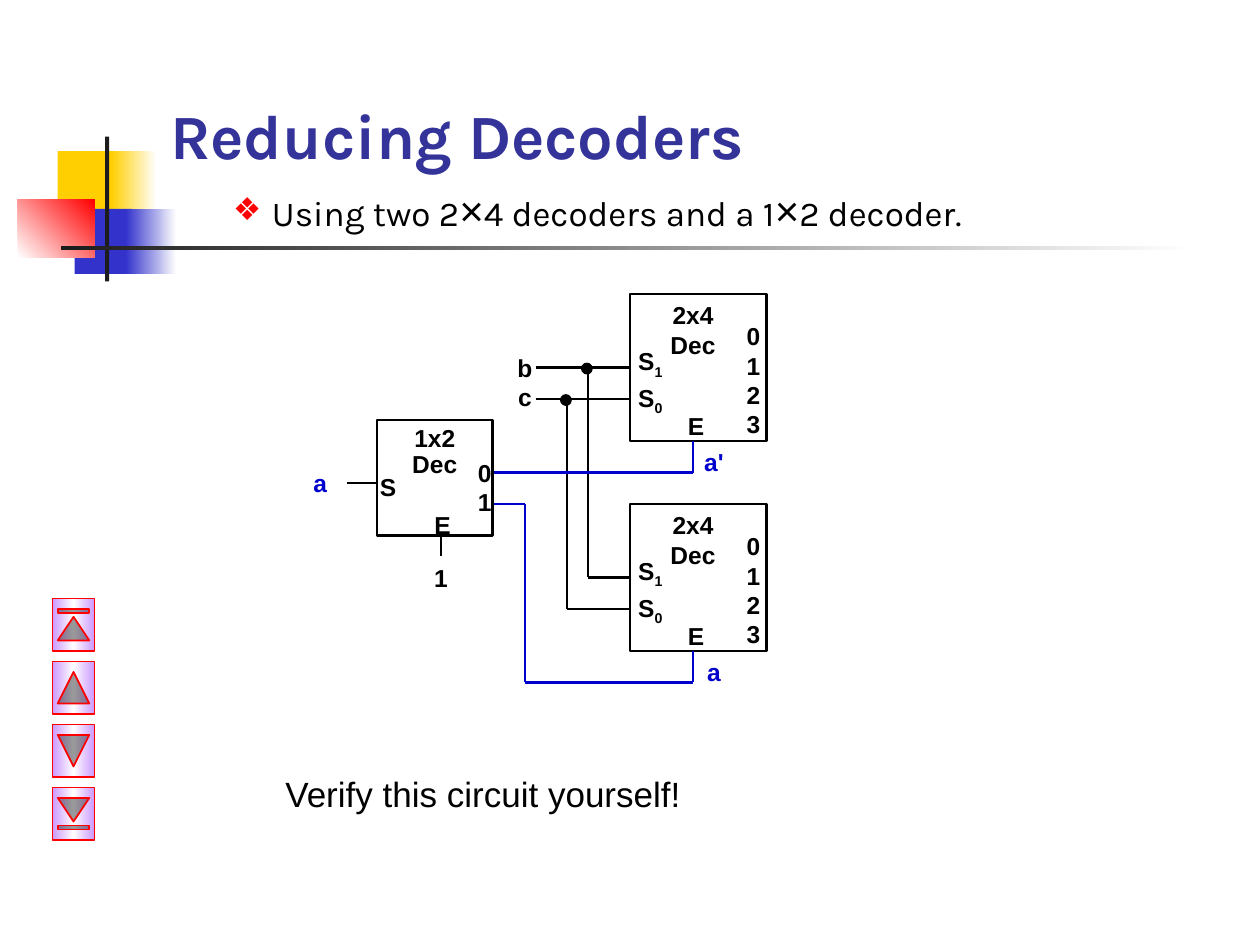
"""Build the slide on reducing decoders, with its circuit and side buttons."""
from dataclasses import dataclass
from itertools import pairwise

from lxml import etree
from pptx import Presentation
from pptx.dml.color import RGBColor
from pptx.enum.shapes import MSO_CONNECTOR, MSO_SHAPE
from pptx.enum.text import MSO_ANCHOR, MSO_AUTO_SIZE, PP_ALIGN
from pptx.oxml.ns import qn
from pptx.util import Pt

RECT, DOT = MSO_SHAPE.RECTANGLE, MSO_SHAPE.OVAL
FIRST, LAST = MSO_SHAPE.ACTION_BUTTON_BEGINNING, MSO_SHAPE.ACTION_BUTTON_END
PRIOR, NEXT = MSO_SHAPE.ACTION_BUTTON_BACK_OR_PREVIOUS, MSO_SHAPE.ACTION_BUTTON_FORWARD_OR_NEXT
LEFT, MID, RIGHT = PP_ALIGN.LEFT, PP_ALIGN.CENTER, PP_ALIGN.RIGHT
TOP, LOW = MSO_ANCHOR.TOP, MSO_ANCHOR.BOTTOM
GROW, FIXED = MSO_AUTO_SIZE.SHAPE_TO_FIT_TEXT, MSO_AUTO_SIZE.NONE
STRAIGHT = MSO_CONNECTOR.STRAIGHT
SCALE = 7620


def px(*sizes):
    return [size * SCALE for size in sizes]


def add(node, tag, **attrs):
    return etree.SubElement(node, qn(tag), attrs)


@dataclass(frozen=True)
class Theme:
    ink: str = "000000"
    blue: str = "0000CC"
    title: str = "333399"
    gold: str = "FFCF01"
    navy: str = "3333CC"
    red: str = "FF0000"
    dark: str = "1C1C1C"
    lilac: str = "CC99FF"
    white: str = "FFFFFF"
    head: str = "Karla"
    font: str = "Arial"
    big: int = 36
    sign: int = 24
    main: int = 20
    small: int = 14


class Deck:
    def __init__(self, theme):
        self.look = theme
        self.show = Presentation()
        self.show.slide_width, self.show.slide_height = px(1200, 900)
        self.page = self.show.slides.add_slide(self.show.slide_layouts[1])

    def run(self, para, text, size, color, font=None, bold=False):
        run = para.add_run()
        run.text = text
        run.font.size, run.font.bold = Pt(size), bold
        run.font.name = font or self.look.font
        run.font.color.rgb = RGBColor.from_string(color)
        return run

    def holder(self, index, box, anchor):
        item = self.page.placeholders[index]
        item.left, item.top, item.width, item.height = px(*box)
        self.page.shapes.element.append(item.element)
        frame = item.text_frame
        frame.auto_size, frame.vertical_anchor = FIXED, anchor
        para = frame.paragraphs[0]
        para.alignment, para.space_before = LEFT, Pt(0)
        return para

    def title(self, box, text):
        para = self.holder(0, box, LOW)
        self.run(para, text, self.look.big, self.look.title, self.look.head, True)

    def bullet(self, box, text):
        look = self.look
        para = self.holder(1, box, TOP)
        para.level = 1
        props = para._p.get_or_add_pPr()
        margin, indent = px(97, -37)
        props.set("marL", str(margin))
        props.set("indent", str(indent))
        add(add(props, "a:buClr"), "a:srgbClr", val=look.red)
        add(props, "a:buSzPct", val="90000")
        add(props, "a:buFont", typeface=look.font)
        add(props, "a:buChar", char="❖")
        for place, part in enumerate(text.split("×")):
            if place:
                self.run(para, "×", look.sign, look.ink)
            self.run(para, part, look.main, look.ink, look.head)

    def shape(self, kind, box, fill=None, line=None, width=1.5):
        item = self.page.shapes.add_shape(kind, *px(*box))
        item.shadow.inherit = False
        if fill:
            item.fill.solid()
            item.fill.fore_color.rgb = RGBColor.from_string(fill)
        else:
            item.fill.background()
        if line:
            item.line.color.rgb = RGBColor.from_string(line)
            item.line.width = Pt(width)
        else:
            item.line.fill.background()
        return item

    def fade(self, item, colors, angle=0):
        item.fill.gradient()
        item.fill.gradient_angle = angle
        stops = item.element.spPr.find(qn("a:gradFill")).find(qn("a:gsLst"))
        for stop in list(stops):
            stops.remove(stop)
        for place, color in enumerate(colors):
            stop = add(stops, "a:gs", pos=str(place * 100000 // (len(colors) - 1)))
            add(stop, "a:srgbClr", val=color)

    def label(self, box, lines, align=MID, color=None, size=None, bold=True, gap=0, pitch=1.0):
        frame = self.page.shapes.add_textbox(*px(*box)).text_frame
        frame.word_wrap, frame.auto_size = True, GROW
        for place, line in enumerate(lines):
            para = frame.add_paragraph() if place else frame.paragraphs[0]
            para.alignment, para.line_spacing = align, pitch
            para.space_before = Pt(gap if place else 0)
            for sub, part in enumerate(line.split("_")):
                run = self.run(para, part, size or self.look.small, color or self.look.ink, bold=bold)
                if sub:
                    run.font._element.set("baseline", "-25000")

    def wire(self, points, color=None, width=1.25, target=None):
        for start, end in pairwise(points):
            line = self.page.shapes.add_connector(STRAIGHT, *px(*start, *end))
            line.line.color.rgb = RGBColor.from_string(color or self.look.ink)
            line.line.width = Pt(width)
            add(line.element.spPr, "a:effectLst")
        if target is not None:
            line.end_connect(target, 1)

    def decoder(self, x, y):
        block = self.shape(RECT, (x, y, 130, 140), line=self.look.ink)
        self.label((x + 10, y, 100, 68), ["2x4", "Dec"])
        self.label((x - 4, y + 44, 56, 79), ["S_1", "S_0"], LEFT, gap=1.8)
        self.label((x + 86, y + 20, 50, 125), "0123", RIGHT)
        self.label((x + 43, y + 106, 40, 41), ["E"])
        return block

    def button(self, kind, y):
        item = self.shape(kind, (45, y, 50, 40), line=self.look.red, width=1)
        item.rotation = 90
        self.fade(item, (self.look.lilac, self.look.white, self.look.lilac), 270)


def main():
    look = Theme()
    deck = Deck(look)

    for box, color in (((55, 144, 58, 62), look.gold), ((106, 144, 43, 62), None),
                       ((71, 199, 55, 62), look.navy), ((120, 199, 48, 62), None)):
        item = deck.shape(RECT, box, color)
        if color:
            base = color
        else:
            deck.fade(item, (base, look.white))
    deck.fade(deck.shape(RECT, (17, 190, 73, 55)), (look.white, look.red), 45)
    deck.shape(RECT, (100, 130, 4, 138), look.dark)
    deck.fade(deck.shape(RECT, (58, 234, 1080, 4)), (look.dark, look.white))

    deck.title((150, 20, 1020, 150), "Reducing Decoders")
    for place, kind in enumerate((FIRST, PRIOR, NEXT, LAST)):
        deck.button(kind, 575 + 60 * place)
    deck.bullet((150, 170, 1010, 90), "Using two 2×4 decoders and a 1×2 decoder.")

    upper, lower = deck.decoder(600, 280), deck.decoder(600, 480)
    deck.wire([(510, 350), (600, 350)], target=upper)
    deck.wire([(510, 380), (600, 380)])
    deck.wire([(560, 350), (560, 550), (600, 550)], target=lower)
    deck.wire([(540, 380), (540, 580), (600, 580)])
    deck.wire([(470, 450), (660, 450), (660, 420)], look.blue)
    deck.wire([(470, 480), (500, 480), (500, 650), (660, 650), (660, 620)], look.blue)
    for x, y in ((534, 376), (554, 346)):
        deck.shape(DOT, (x, y, 10, 10), look.ink, look.ink, 0.75)
    deck.label((480, 330, 40, 68), "bc")
    deck.label((650, 420, 60, 41), ["a'"], color=look.blue)
    deck.label((650, 620, 60, 41), ["a"], color=look.blue)

    deck.shape(RECT, (359, 400, 110, 110), line=look.ink)
    deck.label((364, 400, 100, 62), ["1x2", "Dec"], pitch=0.9)
    deck.label((350, 444, 56, 41), ["S"], LEFT)
    deck.label((430, 430, 50, 68), "01", RIGHT)
    deck.label((400, 480, 43, 41), ["E"])
    deck.label((280, 440, 50, 41), ["a"], color=look.blue)
    deck.wire([(330, 460), (360, 460)])
    deck.wire([(420, 510), (420, 530)], width=0.75)
    deck.label((390, 530, 60, 41), ["1"])
    deck.label((260, 730, 420, 53), ["Verify this circuit yourself!"], LEFT, size=look.main, bold=False)
    deck.show.save("out.pptx")


if __name__ == "__main__":
    main()
